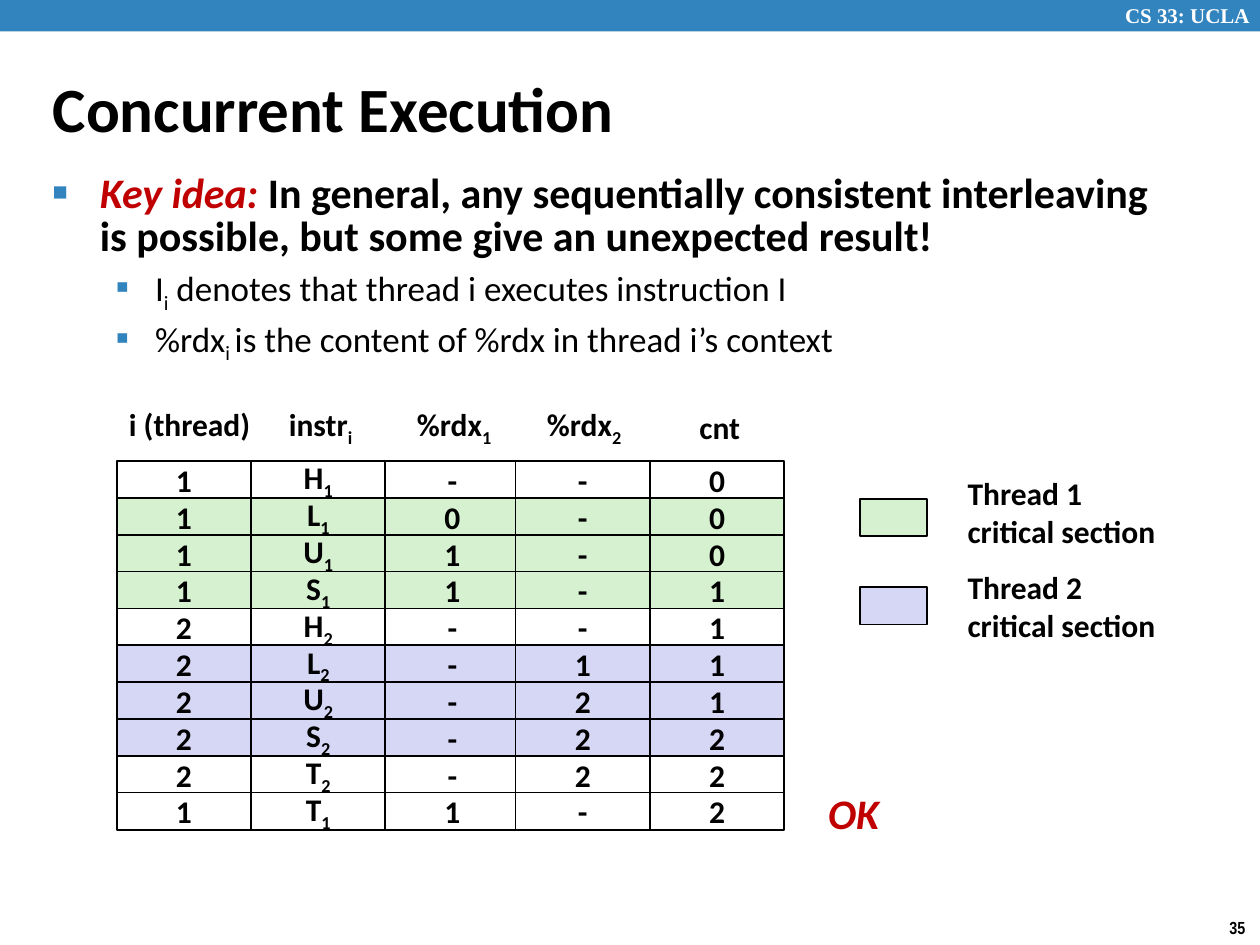
from dataclasses import dataclass

from lxml import etree
from pptx import Presentation
from pptx.dml.color import RGBColor
from pptx.enum import shapes, text
from pptx.oxml import ns
from pptx.util import Pt

BLACK = RGBColor(0x00, 0x00, 0x00)
WHITE = RGBColor(0xFF, 0xFF, 0xFF)
BLUE = RGBColor(0x32, 0x84, 0xBF)
RED = RGBColor(0xC0, 0x00, 0x00)
GREEN = RGBColor(0xD5, 0xF1, 0xCF)
LILAC = RGBColor(0xD6, 0xD6, 0xF5)
LEFT, MID = text.PP_ALIGN.LEFT, text.PP_ALIGN.CENTER
TOP, MIDDLE = text.MSO_ANCHOR.TOP, text.MSO_ANCHOR.MIDDLE


@dataclass
class Run:
    words: str
    size: float = 18
    color: RGBColor = BLACK
    bold: bool = True
    slant: bool = False
    sub: bool = False
    face: str = "Calibri"


@dataclass
class Box:
    left: float
    top: float
    width: float
    height: float

    def spot(self) -> tuple:
        return Pt(self.left), Pt(self.top), Pt(self.width), Pt(self.height)


@dataclass
class Point:
    runs: list
    mark: str
    scale: int
    margin: float
    hang: float
    lines: float
    before: float


@dataclass
class Step:
    thread: int
    instr: str
    rdx1: str
    rdx2: str
    cnt: str


def add_runs(para, runs: list) -> None:
    for item in runs:
        run = para.add_run()
        run.text = item.words
        font = run.font
        font.name, font.size = item.face, Pt(item.size)
        font.bold, font.italic = item.bold, item.slant
        font.color.rgb = item.color
        if item.sub:
            run._r.get_or_add_rPr().set("baseline", "-25000")


def add_text(slide, box: Box, runs: list, align=LEFT, wrap=True, anchor=TOP) -> None:
    frame = slide.shapes.add_textbox(*box.spot()).text_frame
    frame.word_wrap, frame.vertical_anchor = wrap, anchor
    frame.paragraphs[0].alignment = align
    add_runs(frame.paragraphs[0], runs)


def add_rect(slide, box: Box, fill: RGBColor, edge=True, runs=()) -> None:
    rect = slide.shapes.add_shape(shapes.MSO_SHAPE.RECTANGLE, *box.spot())
    rect.shadow.inherit = False
    rect.fill.solid()
    rect.fill.fore_color.rgb = fill
    if edge:
        rect.line.color.rgb, rect.line.width = BLACK, Pt(1)
    else:
        rect.line.fill.background()
    if runs:
        rect.text_frame.vertical_anchor = MIDDLE
        rect.text_frame.paragraphs[0].alignment = MID
        add_runs(rect.text_frame.paragraphs[0], runs)


def add_point(para, point: Point) -> None:
    props = para._p.get_or_add_pPr()
    props.set("marL", str(Pt(point.margin)))
    props.set("indent", str(-Pt(point.hang)))
    tint = etree.SubElement(props, ns.qn("a:buClr"))
    etree.SubElement(tint, ns.qn("a:srgbClr"), val=str(BLUE))
    etree.SubElement(props, ns.qn("a:buSzPct"), val=str(point.scale * 1000))
    etree.SubElement(props, ns.qn("a:buFont"), typeface="Arial")
    etree.SubElement(props, ns.qn("a:buChar"), char=point.mark)
    para.line_spacing = point.lines
    if point.before:
        para.space_before = Pt(point.before)
    add_runs(para, point.runs)


def shade(step: Step) -> RGBColor:
    if step.instr not in "LUS":
        return WHITE
    return GREEN if step.thread == 1 else LILAC


def add_step(slide, top: float, step: Step) -> None:
    thread = str(step.thread)
    cells = [[Run(thread)], [Run(step.instr), Run(thread, sub=True)],
             [Run(step.rdx1)], [Run(step.rdx2)], [Run(step.cnt)]]
    for left, runs in zip(COLS, cells):
        add_rect(slide, Box(left, top, 76.8, 21.4), shade(step), runs=runs)


POINTS = [
    Point([Run("Key idea: ", 24, RED, slant=True),
           Run("In general, any sequentially consistent interleaving is possible, "
               "but some give an unexpected result!", 24)],
          "■", 60, 27, 27, 0.85, 0),
    Point([Run("I", 20, bold=False), Run("i", 20, bold=False, sub=True),
           Run(" denotes that thread i executes instruction I", 20, bold=False)],
          "▪", 110, 58.5, 22.5, 0.9, 4.2),
    Point([Run("%rdx", 20, bold=False), Run("i ", 20, bold=False, sub=True),
           Run("is the content of %rdx in thread i’s context", 20, bold=False)],
          "▪", 110, 58.5, 22.5, 0.9, 4.2),
]
# Centre and top of each column label, with its runs
HEADS = [
    (108.4, 228, [Run("i (thread)")]),
    (183.2, 229, [Run("instr"), Run("i", sub=True)]),
    (259.5, 229, [Run("%rdx"), Run("1", sub=True)]),
    (333.8, 229, [Run("%rdx"), Run("2", sub=True)]),
    (411.3, 229.4, [Run("cnt")]),
]
# Left edge of each column, and the trace row by row
COLS = [66.7, 143.5, 220.1, 294.6, 371.4]
FIRST, PITCH = 263.5, 21.04
STEPS = [
    Step(1, "H", "-", "-", "0"), Step(1, "L", "0", "-", "0"),
    Step(1, "U", "1", "-", "0"), Step(1, "S", "1", "-", "1"),
    Step(2, "H", "-", "-", "1"), Step(2, "L", "-", "1", "1"),
    Step(2, "U", "-", "2", "1"), Step(2, "S", "-", "2", "2"),
    Step(2, "T", "-", "2", "2"), Step(1, "T", "1", "-", "2"),
]


def main() -> None:
    deck = Presentation()
    deck.slide_width, deck.slide_height = Pt(720), Pt(540)
    slide = deck.slides.add_slide(deck.slide_layouts[5])

    # Top band and page number
    add_rect(slide, Box(0, 0, 720, 18), BLUE, edge=False)
    add_text(slide, Box(635.8, -2, 89, 21.6),
             [Run("CS 33: UCLA", 12, WHITE, face="Times New Roman")])
    add_text(slide, Box(695.5, 520.5, 24.5, 19.5),
             [Run("35", 10, face="Arial Narrow")], wrap=False)

    # Title
    title = slide.shapes.title
    title.left, title.top, title.width, title.height = Box(23, 39, 521, 45).spot()
    title.text_frame.vertical_anchor = MIDDLE
    title.text_frame.auto_size = text.MSO_AUTO_SIZE.NONE
    title.text_frame.paragraphs[0].alignment = LEFT
    add_runs(title.text_frame.paragraphs[0], [Run("Concurrent Execution", 36)])

    # Bullet points
    body = slide.shapes.add_textbox(*Box(23, 96.1, 654.5, 114.5).spot()).text_frame
    body.word_wrap = True
    for place, point in enumerate(POINTS):
        add_point(body.add_paragraph() if place else body.paragraphs[0], point)

    # Trace grid with its labels and verdict
    for row, step in enumerate(STEPS):
        add_step(slide, FIRST + row * PITCH, step)
    for centre, top, runs in HEADS:
        add_text(slide, Box(centre - 42, top, 84, 29), runs, MID, False, MIDDLE)
    add_text(slide, Box(465.8, 446.4, 44, 36),
             [Run("OK", 24, RED, slant=True)], MID, False, MIDDLE)

    # Legend
    for thread, fill, key_top, top in ((1, GREEN, 285, 267.3), (2, LILAC, 335.5, 321.1)):
        add_rect(slide, Box(491.3, key_top, 38.3, 21.4), fill)
        add_text(slide, Box(545.8, top, 126, 51), [Run(f"Thread {thread} critical section")])

    deck.save("out.pptx")


if __name__ == "__main__":
    main()
